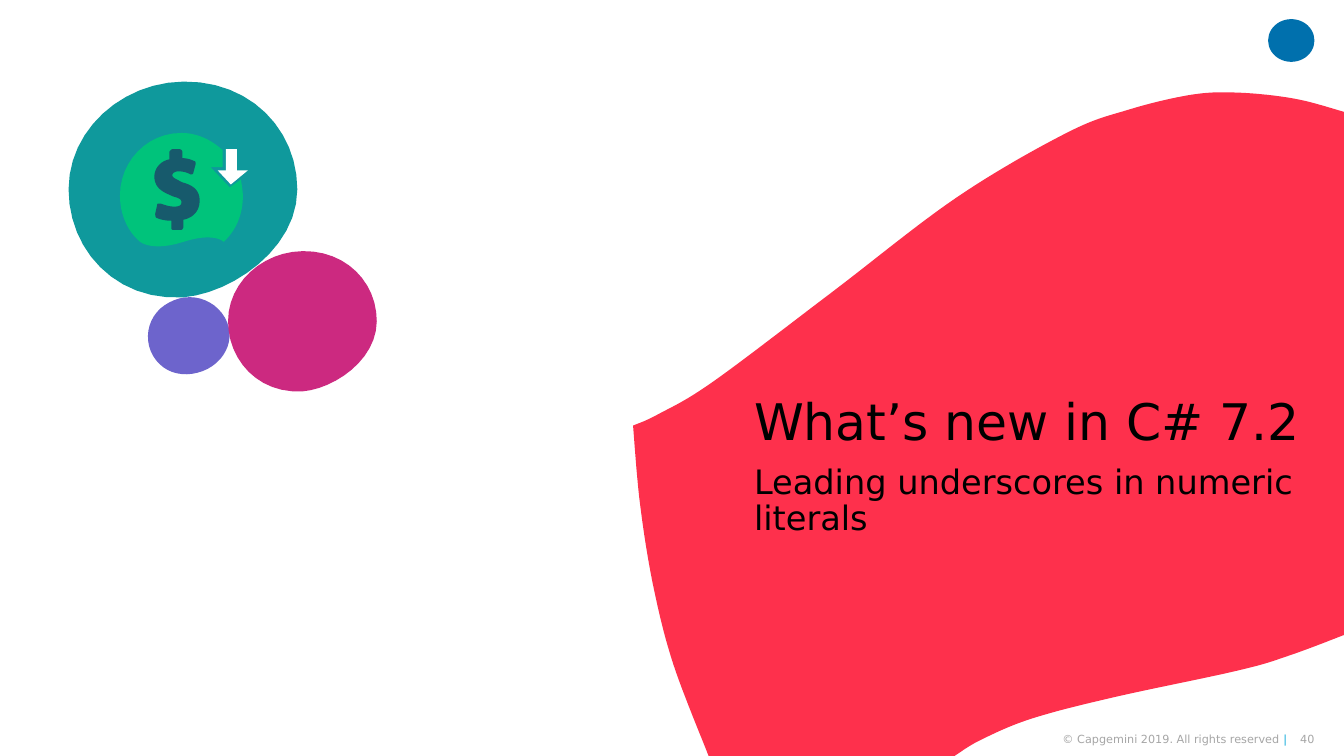
from dataclasses import dataclass

from pptx import Presentation
from pptx.dml.color import RGBColor
from pptx.enum.shapes import MSO_SHAPE as Preset
from pptx.enum.text import MSO_ANCHOR as Anchor, PP_ALIGN as Align
from pptx.util import Pt


@dataclass(frozen=True)
class Theme:
    font: str = "DejaVu Sans"
    red: str = "FE304C"
    teal: str = "0F999C"
    magenta: str = "CC2980"
    violet: str = "6D64CC"
    green: str = "00C37B"
    dark_teal: str = "175A6C"
    blue: str = "0070AD"
    light_blue: str = "12ABDB"
    grey: str = "A6A6A6"
    white: str = "FFFFFF"
    black: str = "000000"
    title_size: int = 36
    subtitle_size: int = 24
    footer_size: int = 8


THEME = Theme()
CURVE_STEPS = 12

# Outlines are in points: a pair is a corner, six numbers are a Bézier curve.
WAVE_TOP = [
    (960, 79.9), (925.2, 70.6), (884.9, 66.2), (851, 67.7), (805.7, 78.5),
    (761.8, 95), (683.3, 141.1), (593.3, 209.5), (509, 272.9),
    (470.2, 295.9), (452.2, 304),
]
WAVE_LEFT = [(452.2, 304), (457.2, 360), (466.6, 418.3), (481, 474.5), (506.2, 540)]
WAVE_BOTTOM = [
    (681.8, 540), (700.6, 528.5), (736.6, 513.4), (794.9, 498.2),
    (884.9, 478.8), (921.6, 468), (960, 453.6),
]
BLOB = [
    (0, 77),
    (0, 34.5, 38, 0.7, 82, 0),
    (130, -0.7, 163.4, 34.5, 163.4, 77),
    (163.4, 119.5, 116.6, 151.2, 82, 154.1),
    (33, 157, 0, 119.5, 0, 77),
]
SMALL_BLOB = [
    (109.4, 254.2),
    (101.5, 240.5, 106.6, 223.2, 121, 216),
    (135.4, 208.1, 152.6, 213.1, 160.6, 226.8),
    (168.5, 240.5, 162, 256.3, 148.3, 263.5),
    (133.9, 270.7, 117.4, 267.8, 109.4, 254.2),
]
COIN = [
    (172.1, 128.2),
    (172.8, 132.5, 173.5, 136.8, 173.5, 140.4),
    (173.5, 153.4, 168.5, 164.9, 159.8, 172.8),
    (159.8, 172.8, 153.4, 165.6, 131, 172.8),
    (108.7, 180, 100.1, 172.8, 100.1, 172.8),
    (90.7, 164.9, 85.7, 152.6, 85.7, 139.7),
    (85.7, 115.2, 105.1, 95, 129.6, 95),
    (141.1, 95, 151.2, 100.1, 159.1, 107.3),
    (159.1, 119.5), (150.5, 119.5), (164.2, 133.9),
]
DOLLAR = [
    (123.8, 140.4),
    (128.9, 141.8, 129.6, 142.6, 129.6, 144.7),
    (129.6, 146.9, 127.4, 147.6, 124.6, 147.6),
    (120.2, 147.6, 117.4, 146.2, 114.5, 145.4),
    (113, 145.4, 112.3, 145.4, 112.3, 146.2),
    (110.9, 152.6),
    (110.9, 154.1, 110.9, 154.8, 111.6, 155.5),
    (114.5, 157, 118.8, 157.7, 122.4, 157.7),
    (122.4, 162.7),
    (122.4, 164.2, 123.1, 164.2, 123.8, 164.2),
    (129.6, 164.2),
    (130.3, 164.2, 131, 162.7, 131, 162),
    (131, 157),
    (138.2, 155.5, 142.6, 150.5, 142.6, 143.3),
    (142.6, 136.8, 139, 132.5, 130.3, 130.3),
    (124.6, 127.4, 123.1, 126.7, 123.1, 125.3),
    (123.1, 123.1, 126, 122.4, 127.4, 122.4),
    (131.8, 122.4, 134.6, 123.8, 136.1, 124.6),
    (136.8, 124.6),
    (137.5, 124.6, 138.2, 123.8, 138.2, 123.1),
    (139.7, 117.4),
    (139.7, 115.9, 139.7, 115.2, 139, 115.2),
    (136.1, 113.8, 133.2, 113, 130.3, 113),
    (130.3, 108.7),
    (130.3, 108, 129.6, 106.6, 128.2, 106.6),
    (123.1, 106.6),
    (122.4, 106.6, 121, 108, 121, 108.7),
    (121, 113.8),
    (114.5, 115.2, 110.2, 120.2, 110.2, 126.7),
    (110.9, 135.4, 117.4, 137.5, 123.8, 140.4),
]
ARROW_HEAD = [(155.5, 121.7), (164.9, 131.8), (177.1, 121.7)]


def smooth(points):
    """Turn points into an outline of curves that pass through each of them."""
    padded = [points[0], *points, points[-1]]
    outline = [points[0]]
    for before, start, end, after in zip(padded, padded[1:], padded[2:], padded[3:]):
        leave = [s + (e - b) / 6 for b, s, e in zip(before, start, end)]
        arrive = [e - (a - s) / 6 for s, e, a in zip(start, end, after)]
        outline.append((*leave, *arrive, *end))
    return outline


def flatten(outline):
    """Replace each curve of an outline by short straight steps."""
    points = []
    for segment in outline:
        if len(segment) == 2:
            points.append(segment)
            continue
        controls = [points[-1], segment[:2], segment[2:4], segment[4:]]
        for step in range(1, CURVE_STEPS + 1):
            t = step / CURVE_STEPS
            weights = ((1 - t) ** 3, 3 * t * (1 - t) ** 2, 3 * t * t * (1 - t), t ** 3)
            points.append(tuple(
                sum(weight * control[axis] for weight, control in zip(weights, controls))
                for axis in (0, 1)
            ))
    return points


def paint(shape, color):
    shape.shadow.inherit = False
    shape.fill.solid()
    shape.fill.fore_color.rgb = RGBColor.from_string(color)
    shape.line.fill.background()


def add_outline(slide, outline, color, left=0, top=0, scale=1):
    points = [(Pt(left + scale * x), Pt(top + scale * y)) for x, y in flatten(outline)]
    builder = slide.shapes.build_freeform(*points[0], scale=1.0)
    builder.add_line_segments(points[1:], close=True)
    paint(builder.convert_to_shape(), color)


def add_preset(slide, preset, left, top, width, height, color):
    shape = slide.shapes.add_shape(preset, Pt(left), Pt(top), Pt(width), Pt(height))
    paint(shape, color)


def format_run(run, size, color):
    run.font.name = THEME.font
    run.font.size = Pt(size)
    run.font.color.rgb = RGBColor.from_string(color)


def add_footer(slide, left, width, parts):
    """Add right-aligned footer text made of (text, color) parts."""
    box = slide.shapes.add_textbox(Pt(left), Pt(523.4), Pt(width), Pt(9.4))
    frame = box.text_frame
    frame.margin_left = frame.margin_right = frame.margin_top = frame.margin_bottom = 0
    frame.vertical_anchor = Anchor.MIDDLE
    frame.word_wrap = True
    paragraph = frame.paragraphs[0]
    paragraph.alignment = Align.RIGHT
    for text, color in parts:
        run = paragraph.add_run()
        run.text = text
        format_run(run, THEME.footer_size, color)


def set_title(slide, title_text, subtitle_text):
    title = slide.shapes.title
    title.left, title.top, title.width, title.height = Pt(531.4), Pt(209.5), Pt(414), Pt(249.1)
    slide.shapes.element.append(title.element)  # brings the title in front of the wave
    frame = title.text_frame
    frame.text = f"{title_text}\n{subtitle_text}"
    frame.vertical_anchor = Anchor.MIDDLE
    frame.word_wrap = True
    for paragraph, size in zip(frame.paragraphs, (THEME.title_size, THEME.subtitle_size)):
        paragraph.alignment = Align.LEFT
        paragraph.line_spacing = 0.9
        format_run(paragraph.runs[0], size, THEME.black)
    frame.paragraphs[1].space_before = Pt(10)


def main():
    presentation = Presentation()
    presentation.slide_width, presentation.slide_height = Pt(960), Pt(540)
    slide = presentation.slides.add_slide(presentation.slide_layouts[5])

    add_preset(slide, Preset.OVAL, 905.8, 13.7, 33.1, 30.5, THEME.blue)
    add_footer(slide, 925.2, 13.7, [("40", THEME.grey)])
    add_footer(slide, 709.9, 209.5, [
        ("© Capgemini 2019. All rights reserved ", THEME.grey), ("|", THEME.light_blue),
    ])
    wave = smooth(WAVE_TOP) + smooth(WAVE_LEFT) + smooth(WAVE_BOTTOM)
    add_outline(slide, wave, THEME.red)
    set_title(slide, "What’s new in C# 7.2", "Leading underscores in numeric literals")

    add_outline(slide, SMALL_BLOB, THEME.violet)
    add_outline(slide, BLOB, THEME.teal, left=49, top=58.3)
    add_outline(slide, BLOB, THEME.magenta, left=162.9, top=179.4, scale=0.65)
    add_outline(slide, COIN, THEME.green)
    add_outline(slide, DOLLAR, THEME.dark_teal)
    add_outline(slide, ARROW_HEAD, THEME.white)
    add_preset(slide, Preset.RECTANGLE, 161.3, 106.6, 7.9, 19.4, THEME.white)
    presentation.save("out.pptx")


if __name__ == "__main__":
    main()
